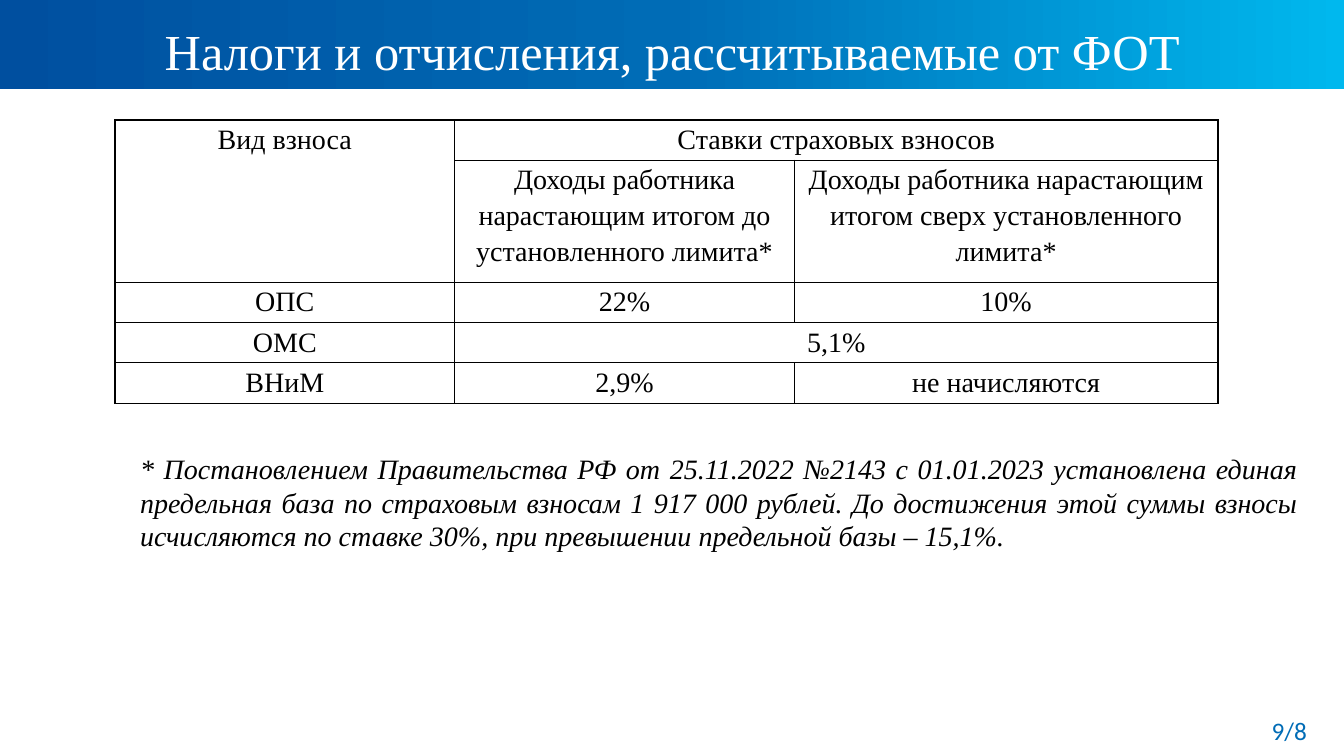
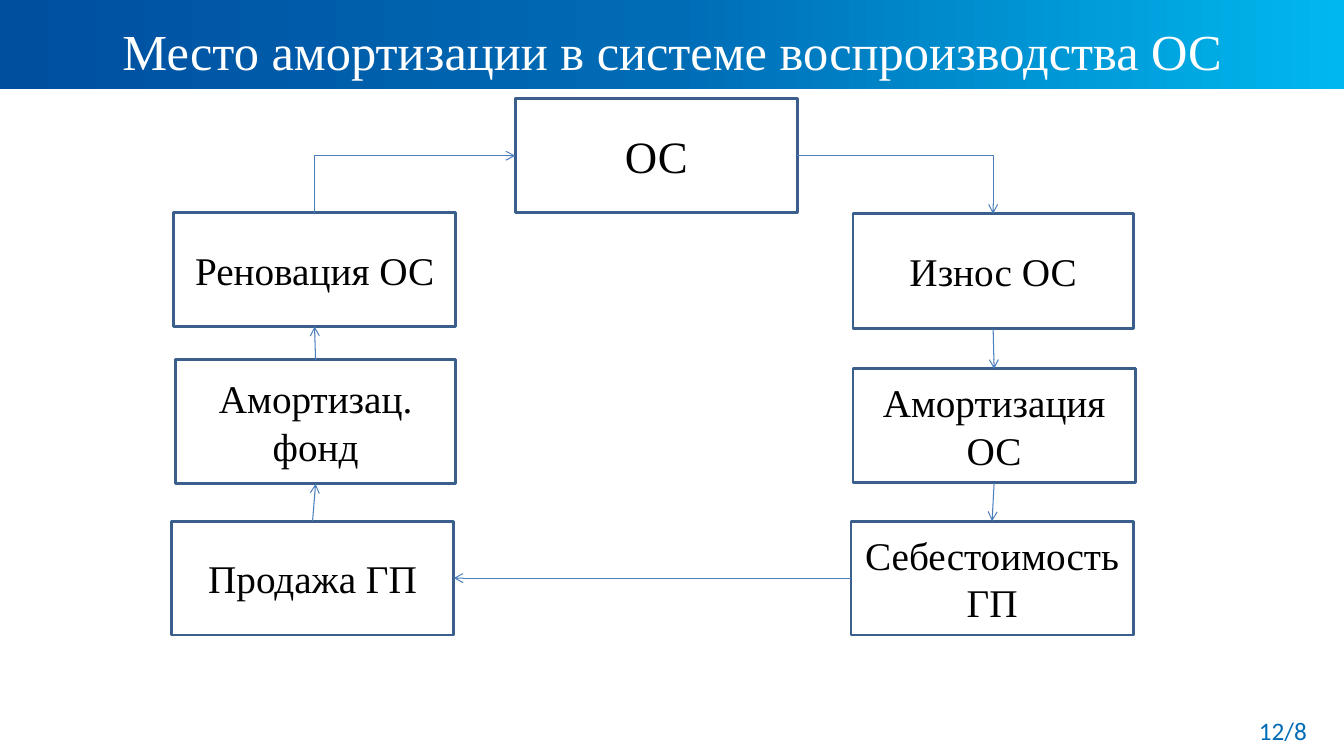
from copy import deepcopy
from dataclasses import dataclass
from typing import NamedTuple

from pptx import Presentation, util as u
from pptx.dml.color import RGBColor
from pptx.enum import shapes, text
from pptx.oxml.ns import qn
from pptx.oxml.xmlchemy import OxmlElement

EMU_PER_PX = 9144  # 100 px to the inch


def px(length: int) -> u.Emu:
    return u.Emu(length * EMU_PER_PX)


@dataclass(frozen=True)
class Theme:
    serif: str = "Times New Roman"
    sans: str = "Calibri"
    white: str = "FFFFFF"
    black: str = "000000"
    accent: str = "006CB6"
    box_line: str = "3A5F8C"
    arrow: str = "4B7EBC"
    band: tuple = ((0, "004F9F"), (0.5, "006CB6"), (1, "00B8EE"))
    title_size: int = 36
    root_size: int = 32
    box_size: int = 28
    body_size: int = 20
    number_size: int = 18


THEME = Theme()


class Area(NamedTuple):
    left: int
    top: int
    width: int
    height: int

    def emu(self) -> list:
        return [px(length) for length in self]


class Box(NamedTuple):
    label: str
    area: Area
    size: int = THEME.box_size


class Side:
    """Connection sites of a rectangle."""
    TOP, LEFT, BOTTOM, RIGHT = range(4)


class Arrow(NamedTuple):
    start: str
    start_side: int
    end: str
    end_side: int
    bent: bool = False
    tip: str = "tailEnd"


class Cell(NamedTuple):
    row: int
    column: int
    label: str
    rows: int = 1
    columns: int = 1


PAGE = Area(0, 0, 1333, 750)
BAND = Area(0, 0, 1333, 88)
TITLE = Area(37, 13, 1260, 74)
NUMBER = Area(1216, 705, 90, 40)

# Contribution rates
TABLE = Area(114, 119, 1094, 282)
COLUMNS = (337, 337, 420)
ROWS = (40, 121, 40, 40, 40)
CELLS = (
    Cell(0, 0, "Вид взноса", rows=2),
    Cell(0, 1, "Ставки страховых взносов", columns=2),
    Cell(1, 1, "Доходы работника нарастающим итогом до установленного лимита*"),
    Cell(1, 2, "Доходы работника нарастающим итогом сверх установленного лимита*"),
    Cell(2, 0, "ОПС"),
    Cell(2, 1, "22%"),
    Cell(2, 2, "10%"),
    Cell(3, 0, "ОМС"),
    Cell(3, 1, "5,1%", columns=2),
    Cell(4, 0, "ВНиМ"),
    Cell(4, 1, "2,9%"),
    Cell(4, 2, "не начисляются"),
)
NOTE = Area(129, 443, 1168, 196)
NOTE_TEXT = (
    "* Постановлением Правительства РФ от 25.11.2022 №2143 с 01.01.2023 "
    "установлена единая предельная база по страховым взносам 1 917 000 рублей. "
    "До достижения этой суммы взносы исчисляются по ставке 30%, "
    "при превышении предельной базы – 15,1%."
)

# Reproduction cycle
BOXES = {
    "assets": Box("ОС", Area(511, 98, 280, 113), THEME.root_size),
    "fund": Box("Амортизац. фонд", Area(174, 357, 278, 123)),
    "depreciation": Box("Амортизация ОС", Area(846, 366, 280, 113)),
    "wear": Box("Износ ОС", Area(846, 212, 278, 114)),
    "renovation": Box("Реновация ОС", Area(172, 211, 280, 113)),
    "sale": Box("Продажа ГП", Area(170, 517, 280, 113)),
    "cost": Box("Себестоимость ГП", Area(844, 517, 280, 113)),
}
ARROWS = (
    Arrow("assets", Side.RIGHT, "wear", Side.TOP, bent=True),
    Arrow("assets", Side.LEFT, "renovation", Side.TOP, bent=True, tip="headEnd"),
    Arrow("wear", Side.BOTTOM, "depreciation", Side.TOP),
    Arrow("depreciation", Side.BOTTOM, "cost", Side.TOP),
    Arrow("cost", Side.LEFT, "sale", Side.RIGHT),
    Arrow("sale", Side.TOP, "fund", Side.BOTTOM),
    Arrow("fund", Side.TOP, "renovation", Side.BOTTOM),
)


def write(frame, content: str, *, size: int, color: str = THEME.black,
          font: str = THEME.serif, align=text.PP_ALIGN.CENTER,
          italic: bool = False, spacing: float = 1.0) -> None:
    frame.word_wrap = True
    para = frame.paragraphs[0]
    para.alignment = align
    para.line_spacing = spacing
    span = para.add_run()
    span.text = content
    span.font.name = font
    span.font.size = u.Pt(size)
    span.font.italic = italic
    span.font.color.rgb = RGBColor.from_string(color)


def add_text(page, area: Area, content: str, *, anchor=text.MSO_ANCHOR.TOP, **style) -> None:
    frame = page.shapes.add_textbox(*area.emu()).text_frame
    frame.vertical_anchor = anchor
    write(frame, content, **style)


def add_rectangle(page, area: Area):
    shape = page.shapes.add_shape(shapes.MSO_SHAPE.RECTANGLE, *area.emu())
    shape.shadow.inherit = False
    return shape


def add_page(deck, title: str, number: str):
    """Blank page with the gradient band, title and page number."""
    page = deck.slides.add_slide(deck.slide_layouts[6])
    band = add_rectangle(page, BAND)
    band.line.fill.background()
    band.fill.gradient()
    band.fill.gradient_angle = 0
    stops = band._element.spPr.find(".//" + qn("a:gsLst"))
    stops.append(deepcopy(stops[-1]))
    for stop, (position, color) in zip(band.fill.gradient_stops, THEME.band):
        stop.position = position
        stop.color.rgb = RGBColor.from_string(color)
    add_text(page, NUMBER, number, size=THEME.number_size, color=THEME.accent,
             font=THEME.sans, align=text.PP_ALIGN.RIGHT)
    add_text(page, TITLE, title, size=THEME.title_size, color=THEME.white,
             anchor=text.MSO_ANCHOR.MIDDLE)
    return page


def add_borders(cell) -> None:
    properties = cell._tc.get_or_add_tcPr()
    for edge in ("a:lnL", "a:lnR", "a:lnT", "a:lnB"):
        line = OxmlElement(edge)
        line.set("w", str(u.Pt(1)))
        fill = OxmlElement("a:solidFill")
        color = OxmlElement("a:srgbClr")
        color.set("val", THEME.black)
        fill.append(color)
        line.append(fill)
        properties.append(line)


def add_rates_table(page) -> None:
    table = page.shapes.add_table(len(ROWS), len(COLUMNS), *TABLE.emu()).table
    table.first_row = table.horz_banding = False
    for column, width in zip(table.columns, COLUMNS):
        column.width = px(width)
    for row, height in zip(table.rows, ROWS):
        row.height = px(height)
    for cell in table.iter_cells():
        add_borders(cell)
        cell.fill.background()
        cell.margin_left = cell.margin_right = px(7)
        cell.margin_top = cell.margin_bottom = 0
    for item in CELLS:
        cell = table.cell(item.row, item.column)
        if item.rows * item.columns > 1:
            cell.merge(table.cell(item.row + item.rows - 1, item.column + item.columns - 1))
        write(cell.text_frame, item.label, size=THEME.body_size, spacing=1.15)


def add_box(page, box: Box):
    shape = add_rectangle(page, box.area)
    shape.fill.solid()
    shape.fill.fore_color.rgb = RGBColor.from_string(THEME.white)
    shape.line.color.rgb = RGBColor.from_string(THEME.box_line)
    shape.line.width = u.Pt(2)
    shape.text_frame.vertical_anchor = text.MSO_ANCHOR.MIDDLE
    write(shape.text_frame, box.label, size=box.size)
    return shape


def add_arrow(page, arrow: Arrow, boxes: dict) -> None:
    kind = shapes.MSO_CONNECTOR.ELBOW if arrow.bent else shapes.MSO_CONNECTOR.STRAIGHT
    link = page.shapes.add_connector(kind, 0, 0, 0, 0)
    link.begin_connect(boxes[arrow.start], arrow.start_side)
    link.end_connect(boxes[arrow.end], arrow.end_side)
    link.line.color.rgb = RGBColor.from_string(THEME.arrow)
    link.line.width = u.Pt(0.75)
    properties = link._element.spPr
    if arrow.bent:  # a single corner
        properties.find(qn("a:prstGeom")).set("prst", "bentConnector2")
    tip = OxmlElement("a:" + arrow.tip)
    tip.set("type", "arrow")
    properties.find(qn("a:ln")).append(tip)
    properties.append(OxmlElement("a:effectLst"))


def main() -> None:
    deck = Presentation()
    deck.slide_width, deck.slide_height = px(PAGE.width), px(PAGE.height)

    # Payroll taxes
    page = add_page(deck, "Налоги и отчисления, рассчитываемые от ФОТ", "9/8")
    add_text(page, NOTE, NOTE_TEXT, size=THEME.body_size, italic=True,
             align=text.PP_ALIGN.JUSTIFY)
    add_rates_table(page)

    # Depreciation cycle
    page = add_page(deck, "Место амортизации в системе воспроизводства ОС", "12/8")
    boxes = {name: add_box(page, box) for name, box in BOXES.items()}
    for arrow in ARROWS:
        add_arrow(page, arrow, boxes)

    deck.save("out.pptx")


if __name__ == "__main__":
    main()
